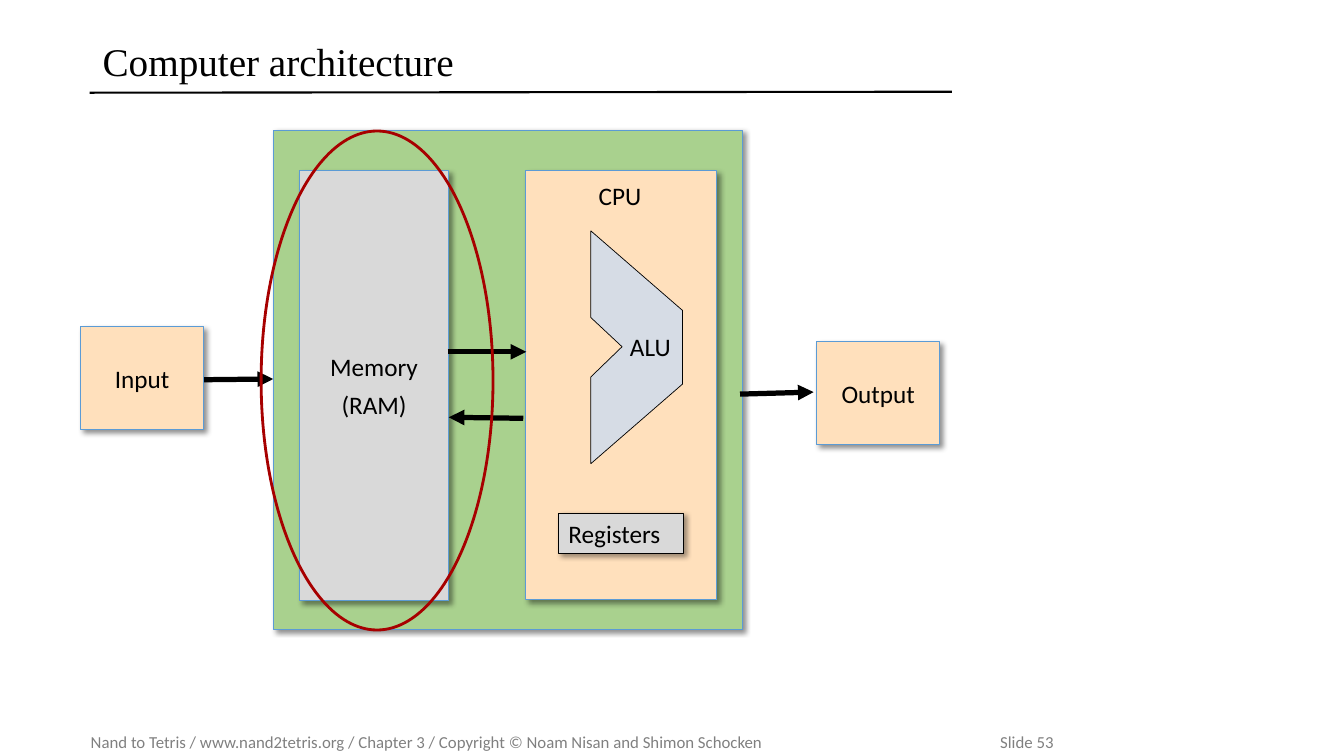
from dataclasses import dataclass

from lxml.etree import SubElement
from pptx import Presentation
from pptx.dml.color import RGBColor
from pptx.enum.shapes import MSO_CONNECTOR, MSO_SHAPE
from pptx.enum.text import MSO_ANCHOR, PP_ALIGN
from pptx.oxml.ns import qn
from pptx.util import Inches, Pt


@dataclass(frozen=True)
class Theme:
    black: str = "000000"
    peach: str = "FFE0BC"
    green: str = "A9D18E"
    gray: str = "D9D9D9"
    steel: str = "D6DCE5"
    edge: str = "5B9BD5"
    highlight: str = "A70000"
    muted: str = "808080"
    heading_font: str = "Times New Roman"
    body_font: str = "Calibri"
    heading: int = 28
    body: int = 18
    footer: int = 12


class Diagram:
    cells_per_inch = 10

    def __init__(self, slide, theme):
        self.slide = slide
        self.theme = theme

    def grid(self, *cells):
        return [Inches(cell / self.cells_per_inch) for cell in cells]

    def paint(self, shape, fill, line, width):
        shape.shadow.inherit = False
        if fill:
            shape.fill.solid()
            shape.fill.fore_color.rgb = RGBColor.from_string(fill)
        else:
            shape.fill.background()
        shape.line.color.rgb = RGBColor.from_string(line)
        shape.line.width = Pt(width)

    def cast_shadow(self, shape, opacity):
        effects = shape._element.spPr.find(qn("a:effectLst"))
        shadow = SubElement(effects, qn("a:outerShdw"), blurRad=str(Pt(4)),
                            dist=str(Pt(3)), dir="2700000", algn="tl", rotWithShape="0")
        color = SubElement(shadow, qn("a:srgbClr"), val=self.theme.black)
        SubElement(color, qn("a:alpha"), val=str(opacity * 1000))

    def set_text(self, frame, lines, size=None, font=None, color=None,
                 align=PP_ALIGN.LEFT, anchor=MSO_ANCHOR.TOP, tab=None):
        frame.word_wrap = True
        frame.vertical_anchor = anchor
        for index, line in enumerate(lines):
            paragraph = frame.add_paragraph() if index else frame.paragraphs[0]
            paragraph.text = line
            paragraph.alignment = align
            if index:
                paragraph.space_before = Pt(6)
            if tab:
                stops = SubElement(paragraph._p.get_or_add_pPr(), qn("a:tabLst"))
                SubElement(stops, qn("a:tab"), pos=str(self.grid(tab)[0]), algn="l")
            paragraph.font.size = Pt(size or self.theme.body)
            paragraph.font.name = font or self.theme.body_font
            paragraph.font.color.rgb = RGBColor.from_string(color or self.theme.black)

    def label(self, area, text, **style):
        frame = self.slide.shapes.add_textbox(*self.grid(*area)).text_frame
        self.set_text(frame, [text], **style)
        return frame

    def block(self, area, fill, lines=(), line=None, width=0.5, opacity=43,
              align=PP_ALIGN.CENTER, anchor=MSO_ANCHOR.MIDDLE):
        block = self.slide.shapes.add_shape(MSO_SHAPE.RECTANGLE, *self.grid(*area))
        self.paint(block, fill, line or self.theme.edge, width)
        self.cast_shadow(block, opacity)
        self.set_text(block.text_frame, lines, align=align, anchor=anchor)

    def outline(self, points, fill):
        corners = [tuple(self.grid(*point)) for point in points]
        builder = self.slide.shapes.build_freeform(*corners[0])
        builder.add_line_segments(corners[1:], close=True)
        self.paint(builder.convert_to_shape(), fill, self.theme.black, 0.5)

    def ring(self, area):
        ring = self.slide.shapes.add_shape(MSO_SHAPE.OVAL, *self.grid(*area))
        self.paint(ring, None, self.theme.highlight, 2)

    def rule(self, start, end, width):
        rule = self.slide.shapes.add_connector(
            MSO_CONNECTOR.STRAIGHT, *self.grid(*start, *end))
        rule.line.color.rgb = RGBColor.from_string(self.theme.black)
        rule.line.width = Pt(width)
        SubElement(rule._element.spPr, qn("a:effectLst"))
        return rule

    def arrow(self, start, end):
        arrow = self.rule(start, end, 3.75)
        SubElement(arrow.line._get_or_add_ln(), qn("a:tailEnd"), type="triangle")


def main():
    presentation = Presentation()
    presentation.slide_width = Inches(13.33)
    presentation.slide_height = Inches(7.5)
    theme = Theme()
    diagram = Diagram(presentation.slides.add_slide(presentation.slide_layouts[6]), theme)

    footer = diagram.label(
        (9, 72.1, 122.5, 3),
        "Nand to Tetris / www.nand2tetris.org / Chapter 3 / "
        "Copyright © Noam Nisan and Shimon Schocken\tSlide 53",
        size=theme.footer, color=theme.muted, anchor=MSO_ANCHOR.MIDDLE, tab=90.2)
    footer.margin_left = footer.margin_right = 0
    diagram.rule((8.9, 9.2), (94.4, 9.1), 1.5)
    heading = diagram.label((9.2, 3.2, 85.3, 6.3), "Computer architecture",
                            size=theme.heading, font=theme.heading_font,
                            anchor=MSO_ANCHOR.MIDDLE)
    heading.paragraphs[0].line_spacing = 0.9

    diagram.arrow((17.7, 37.7), (27.1, 37.6))
    diagram.block((8, 32.4, 12.2, 10.2), theme.peach, ["Input"])
    diagram.block((27.1, 12.9, 46.5, 49.5), theme.green)
    diagram.block((52.1, 16.9, 19, 42.6), theme.peach)
    diagram.block((29.7, 16.9, 14.8, 42.7), theme.gray, ["Memory", "(RAM)"])
    diagram.block((81, 33.9, 12.2, 10.2), theme.peach, ["Output"])
    diagram.label((58.4, 17.4, 6.7, 4), "CPU")
    diagram.block((55.4, 50.9, 12.4, 4), theme.gray, ["Registers"], line=theme.black,
                  width=0.75, opacity=40, align=PP_ALIGN.LEFT, anchor=MSO_ANCHOR.TOP)

    for start, end in [((44.4, 34.9), (52.2, 34.9)),
                       ((51.9, 41.5), (44.5, 41.4)),
                       ((73.4, 39.1), (80.7, 38.9))]:
        diagram.arrow(start, end)

    diagram.outline([(58.6, 22.9), (67.7, 30.8), (67.7, 38.1), (58.6, 46),
                     (58.6, 37.4), (61.7, 34.4), (58.6, 31.5)], theme.steel)
    diagram.label((61.5, 32.4, 6.4, 4), "ALU")
    diagram.ring((25.9, 13, 23, 49.5))
    presentation.save("out.pptx")


if __name__ == "__main__":
    main()
